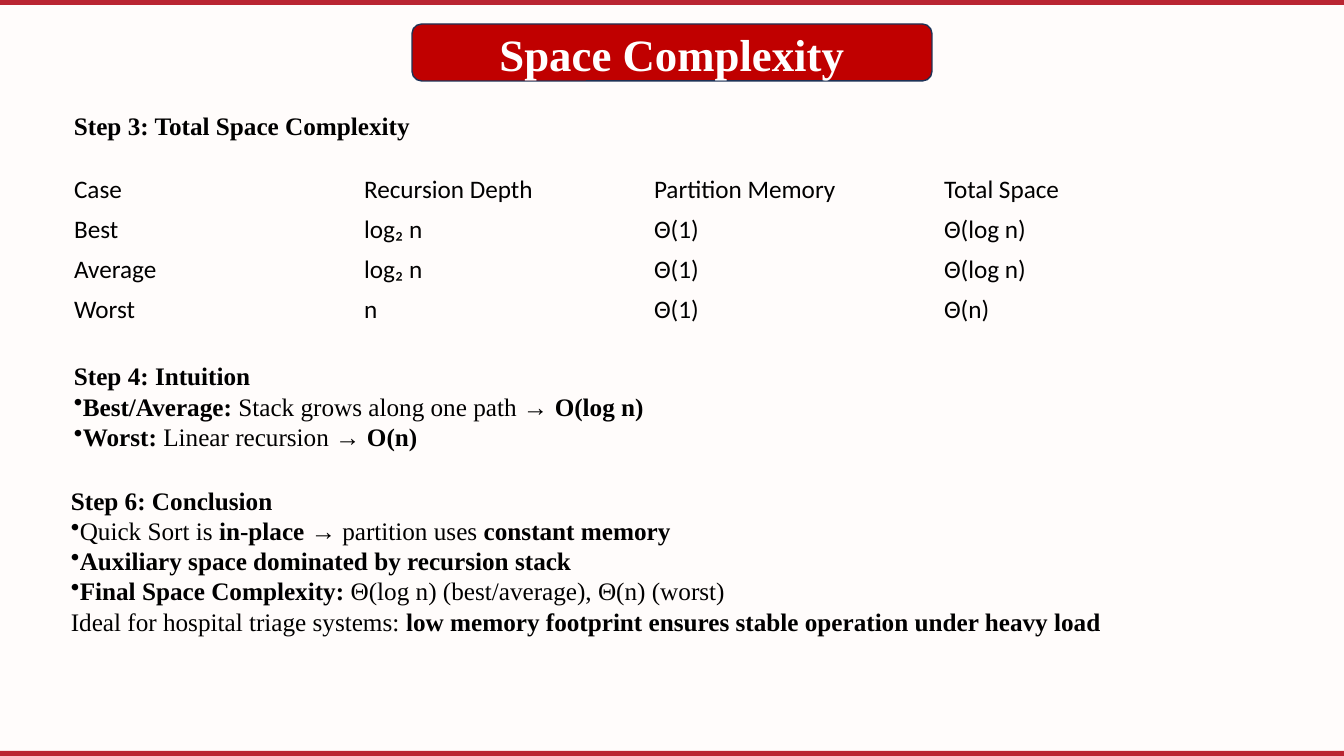
from pptx import Presentation
from pptx.dml.color import RGBColor
from pptx.enum.shapes import MSO_SHAPE as Shape
from pptx.enum.text import MSO_ANCHOR as Anchor, PP_ALIGN as Align
from pptx.oxml.xmlchemy import OxmlElement
from pptx.util import Emu, Pt

# Content: a line is (bulleted, [(text, bold), ...])
TITLE = [(False, [("Space Complexity", True)])]
TOTAL = [(False, [("Step 3: Total Space Complexity", True)])]
CASES = [
    ("Case", "Recursion Depth", "Partition Memory", "Total Space"),
    ("Best", "log₂ n", "Θ(1)", "Θ(log n)"),
    ("Average", "log₂ n", "Θ(1)", "Θ(log n)"),
    ("Worst", "n", "Θ(1)", "Θ(n)"),
]
INTUITION = [
    (False, [("Step 4: Intuition", True)]),
    (True, [("Best/Average:", True), (" Stack grows along one path → ", False),
            ("O(log n)", True)]),
    (True, [("Worst:", True), (" Linear recursion → ", False), ("O(n)", True)]),
]
CONCLUSION = [
    (False, [("Step 6: Conclusion", True)]),
    (True, [("Quick Sort is ", False), ("in-place", True),
            (" → partition uses ", False), ("constant memory", True)]),
    (True, [("Auxiliary space dominated by recursion stack", True)]),
    (True, [("Final Space Complexity:", True),
            (" Θ(log n) (best/average), Θ(n) (worst)", False)]),
    (False, [("Ideal for hospital triage systems: ", False),
             ("low memory footprint ensures stable operation under heavy load", True)]),
]

# Look
PAPER = RGBColor(0xFF, 0xFC, 0xFB)
STRIPE = RGBColor(0xBA, 0x25, 0x32)
BANNER = RGBColor(0xC0, 0x00, 0x00)
NAVY = RGBColor(0x1E, 0x32, 0x56)
WHITE = RGBColor(0xFF, 0xFF, 0xFF)
BLACK = RGBColor(0x00, 0x00, 0x00)
SERIF, SANS = "Times New Roman", "Calibri"
NO_GRID_STYLE = "{2D5ABB26-0587-4C30-8999-92F81FD0307C}"

# Layout in px
WIDTH, HEIGHT, STRIPE_HEIGHT = 1344, 756, 5
COLUMN_WIDTH, ROW_HEIGHT = 290, 40
EMU_PER_PX = 914400 / 100.8


def px(length):
    return Emu(round(length * EMU_PER_PX))


def box(*lengths):
    return [px(length) for length in lengths]


def set_font(paragraph, name, size, color):
    paragraph.font.name = name
    paragraph.font.size = Pt(size)
    paragraph.font.color.rgb = color


def add_block(kind, bounds, fill):
    shape = slide.shapes.add_shape(kind, *box(*bounds))
    shape.shadow.inherit = False
    shape.fill.solid()
    shape.fill.fore_color.rgb = fill
    shape.line.fill.background()
    return shape


def add_text(lines, bounds, size=18, color=BLACK, align=Align.LEFT):
    frame = slide.shapes.add_textbox(*box(*bounds)).text_frame
    frame.word_wrap = True
    frame.vertical_anchor = Anchor.MIDDLE
    for index, (bulleted, runs) in enumerate(lines):
        paragraph = frame.add_paragraph() if index else frame.paragraphs[0]
        paragraph.alignment = align
        if bulleted:
            bullet = OxmlElement("a:buChar")
            bullet.set("char", "•")
            paragraph._p.get_or_add_pPr().append(bullet)
        set_font(paragraph, SERIF, size, color)
        for text, bold in runs:
            run = paragraph.add_run()
            run.text = text
            run.font.bold = bold


presentation = Presentation()
presentation.slide_width, presentation.slide_height = box(WIDTH, HEIGHT)
slide = presentation.slides.add_slide(presentation.slide_layouts[6])
slide.background.fill.solid()
slide.background.fill.fore_color.rgb = PAPER

# Stripes at the top and bottom edges
for top in (0, HEIGHT - STRIPE_HEIGHT):
    add_block(Shape.RECTANGLE, (0, top, WIDTH, STRIPE_HEIGHT), STRIPE)

# Title banner
banner = add_block(Shape.ROUNDED_RECTANGLE, (412, 24, 520, 57), BANNER)
banner.line.color.rgb = NAVY
banner.line.width = Pt(1)
add_text(TITLE, (293, 21, 758, 65), 32, WHITE, Align.CENTER)

# Table of cases
rows, columns = len(CASES), len(CASES[0])
table = slide.shapes.add_table(
    rows, columns, *box(64, 170, columns * COLUMN_WIDTH, rows * ROW_HEIGHT)).table
table.first_row = table.horz_banding = False
table._tbl.tblPr[0].text = NO_GRID_STYLE
for row, values in zip(table.rows, CASES):
    for cell, value in zip(row.cells, values):
        cell.text = value
        cell.fill.background()
        cell.vertical_anchor = Anchor.MIDDLE
        cell.margin_top = cell.margin_bottom = px(4)
        set_font(cell.text_frame.paragraphs[0], SANS, 18, BLACK)

# Steps
add_text(TOTAL, (64, 105, 360, 41))
add_text(INTUITION, (64, 355, 705, 102))
add_text(CONCLUSION, (61, 479, 1060, 163))

presentation.save("out.pptx")
